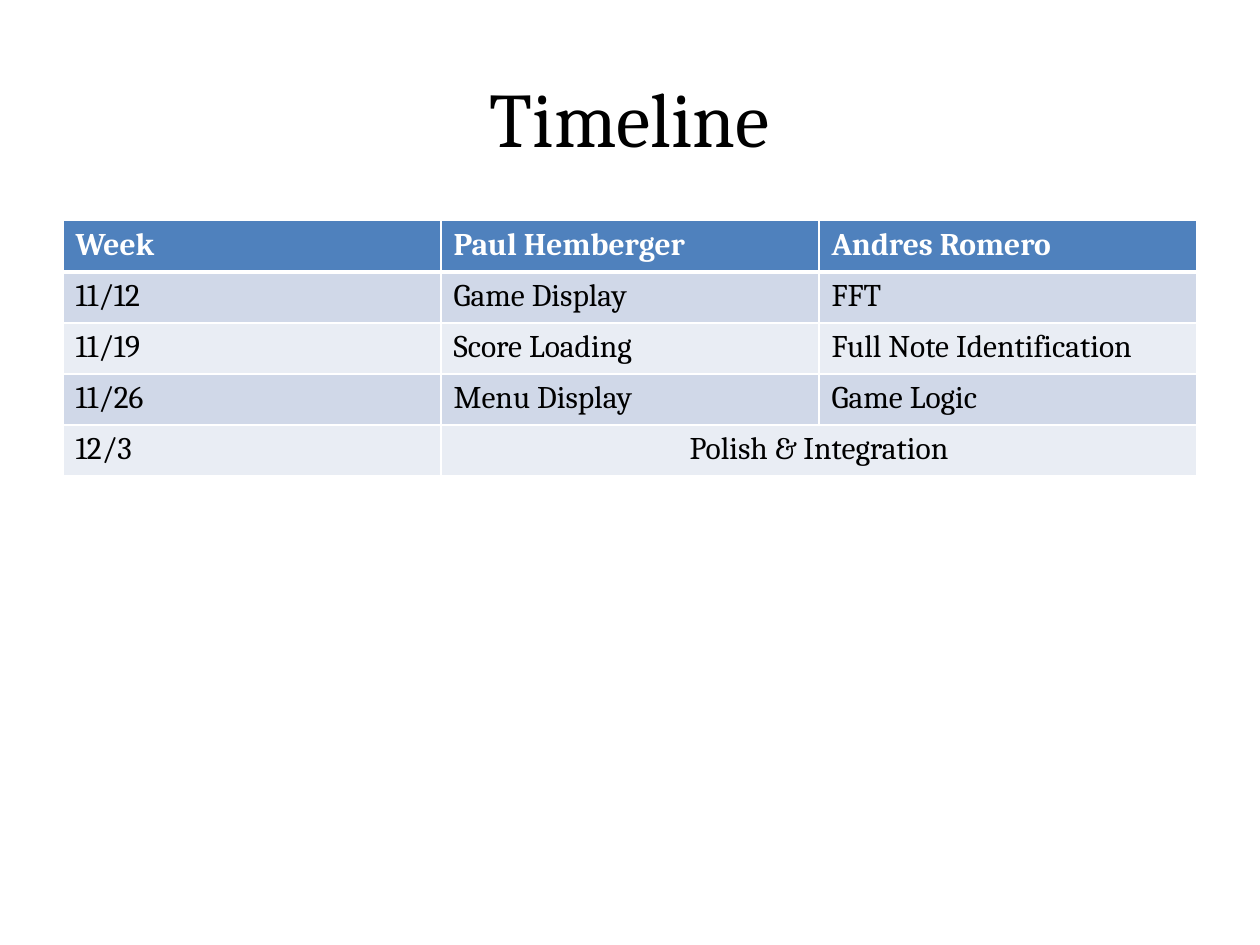
"""Build the project timeline slide with its table of weekly tasks."""
from lxml.etree import SubElement
from pptx import Presentation
from pptx.dml.color import RGBColor
from pptx.enum.text import MSO_ANCHOR as Anchor, PP_ALIGN as Align
from pptx.oxml.ns import qn
from pptx.util import Cm, Pt

COLORS = {
    "text": "000000",
    "white": "FFFFFF",
    "header": "4F81BD",
    "odd": "D0D8E8",
    "even": "E9EDF4",
}
HEADER = ["Week", "Paul Hemberger", "Andres Romero"]
TASKS = [
    ["11/12", "Game Display", "FFT"],
    ["11/19", "Score Loading", "Full Note Identification"],
    ["11/26", "Menu Display", "Game Logic"],
    ["12/3", "Polish & Integration"],
]


class SlideBuilder:
    font = "Cambria"

    def __init__(self, slide):
        self.slide = slide

    def set_text(self, frame, text, size, color="text", bold=False, align=Align.LEFT):
        frame.text = text
        paragraph = frame.paragraphs[0]
        paragraph.alignment = align
        for run in paragraph.runs:
            run.font.name = self.font
            run.font.size = Pt(size)
            run.font.bold = bold
            run.font.color.rgb = RGBColor.from_string(COLORS[color])

    def title(self, text, left, top, width, height):
        shape = self.slide.shapes.title
        shape.left, shape.top, shape.width, shape.height = left, top, width, height
        shape.text_frame.vertical_anchor = Anchor.MIDDLE
        self.set_text(shape.text_frame, text, 44, align=Align.CENTER)

    def borders(self, cell, widths):
        properties = cell._tc.get_or_add_tcPr()
        for side, width in zip("LRTB", widths):
            line = SubElement(properties, qn(f"a:ln{side}"), w=str(Pt(width)))
            fill = SubElement(line, qn("a:solidFill"))
            SubElement(fill, qn("a:srgbClr"), val=COLORS["white"])

    def table(self, header, body, left, top, width, row_height):
        rows = [header, *body]
        columns = len(header)
        frame = self.slide.shapes.add_table(
            len(rows), columns, left, top, width, row_height * len(rows))
        table = frame.table
        for row, texts in enumerate(rows):
            is_header = row == 0
            fill = "header" if is_header else "odd" if row % 2 else "even"
            top_width, bottom_width = 3 if row == 1 else 1, 3 if is_header else 1
            for column in range(columns):
                cell = table.cell(row, column)
                self.borders(cell, (1, 1, top_width, bottom_width))
                cell.fill.solid()
                cell.fill.fore_color.rgb = RGBColor.from_string(COLORS[fill])
            for column, text in enumerate(texts):
                cell = table.cell(row, column)
                merged = column == len(texts) - 1 and len(texts) < columns
                if merged:
                    cell.merge(table.cell(row, columns - 1))
                self.set_text(cell.text_frame, text, 18,
                              "white" if is_header else "text", is_header,
                              Align.CENTER if merged else Align.LEFT)


presentation = Presentation()
presentation.slide_width, presentation.slide_height = Cm(25.4), Cm(19.05)
builder = SlideBuilder(presentation.slides.add_slide(presentation.slide_layouts[5]))
builder.title("Timeline", Cm(1.27), Cm(0.76), Cm(22.86), Cm(3.18))
builder.table(HEADER, TASKS, Cm(1.27), Cm(4.45), Cm(22.86), Cm(1.03))
presentation.save("out.pptx")
